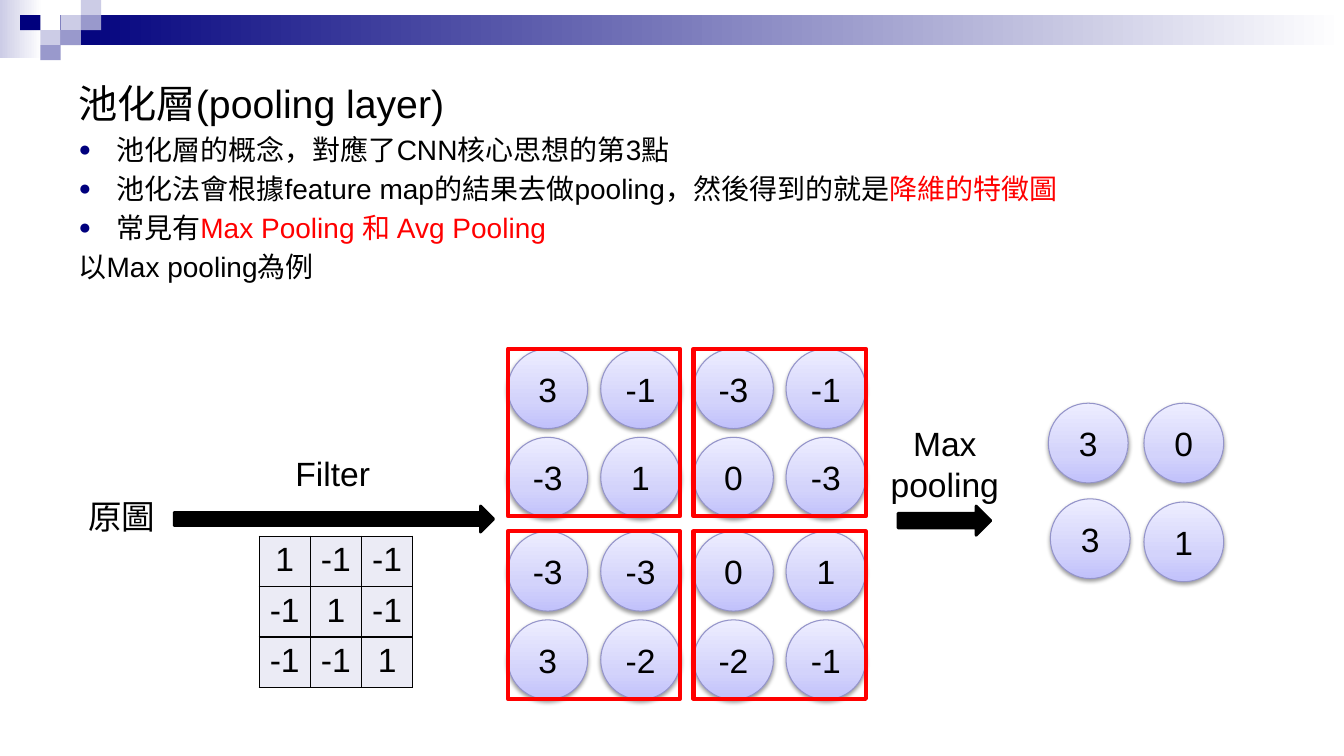
import copy

import pptx
import pptx.dml.color
import pptx.enum.shapes
import pptx.enum.text
import pptx.oxml
import pptx.oxml.ns
import pptx.util

Cm = pptx.util.Cm
Pt = pptx.util.Pt
Preset = pptx.enum.shapes.MSO_SHAPE
Align = pptx.enum.text.PP_ALIGN
Anchor = pptx.enum.text.MSO_ANCHOR
qn = pptx.oxml.ns.qn

NAVY, LILAC, MIST = "00007D", "9999CC", "CCCCE6"
BLACK, RED, WHITE = "000000", "FF0000", "FFFFFF"
NEURON = [(0, "C1C1FB"), (0.35, "D3D3FB"), (1, "EDEDFF")]


def color(value):
    return pptx.dml.color.RGBColor.from_string(value)


def xml(text):
    return pptx.oxml.parse_xml(text.replace(" ", f' {pptx.oxml.ns.nsdecls("a")} ', 1))


def apply(target, values):
    for name, value in values.items():
        setattr(target, name, value)


class SlideBuilder:
    font = {"name": "Arial", "size": Pt(24)}
    centred = {"alignment": Align.CENTER}
    tight = {"margin_left": 0, "margin_right": 0, "margin_top": 0,
             "margin_bottom": 0, "vertical_anchor": Anchor.MIDDLE}
    plain_table = {"first_row": False, "horz_banding": False}

    def __init__(self, slide):
        self.slide = slide
        self.shapes = slide.shapes

    def start_group(self):
        self.shapes = self.slide.shapes.add_group_shape().shapes

    def end_group(self):
        self.shapes = self.slide.shapes

    def add_text(self, paragraph, text, ink=BLACK, **changes):
        run = paragraph.add_run()
        run.text = text
        apply(run.font, {**self.font, **changes})
        run.font.color.rgb = color(ink)

    def shape(self, preset, box, fill=None, line=None, width=1):
        shape = self.shapes.add_shape(preset, *map(Cm, box))
        shape.shadow.inherit = False
        if fill is None:
            shape.fill.background()
        else:
            shape.fill.solid()
            shape.fill.fore_color.rgb = color(fill)
        if line is None:
            shape.line.fill.background()
        else:
            shape.line.color.rgb = color(line)
            shape.line.width = Pt(width)
        return shape

    def gradient(self, shape, stops, angle=0):
        shape.fill.gradient()
        shape.fill.gradient_angle = angle
        stop_list = next(shape._element.spPr.iter(qn("a:gsLst")))
        for _ in stops[2:]:
            stop_list.append(copy.deepcopy(stop_list[-1]))
        for stop, (position, value) in zip(shape.fill.gradient_stops, stops):
            stop.position = position
            stop.color.rgb = color(value)

    def neuron(self, left, top, value):
        circle = self.shape(Preset.OVAL, (left, top, 2.01, 2.01), WHITE, "9494C9", 0.75)
        self.gradient(circle, NEURON, 90)
        circle._element.spPr.find(qn("a:effectLst")).append(xml(
            '<a:outerShdw blurRad="40000" dist="20000" dir="5400000" rotWithShape="0">'
            '<a:srgbClr val="000000"><a:alpha val="38000"/></a:srgbClr></a:outerShdw>'))
        apply(circle.text_frame, self.tight)
        paragraph = circle.text_frame.paragraphs[0]
        apply(paragraph, self.centred)
        self.add_text(paragraph, str(value))

    def label(self, box, text):
        frame = self.shapes.add_textbox(*map(Cm, box)).text_frame
        frame.word_wrap = True
        apply(frame.paragraphs[0], self.centred)
        self.add_text(frame.paragraphs[0], text)

    def bullet(self, paragraph):
        properties = paragraph._p.get_or_add_pPr()
        properties.set("marL", str(Cm(0.95)))
        properties.set("indent", str(-Cm(0.95)))
        for element in (f'<a:buClr ><a:srgbClr val="{NAVY}"/></a:buClr>',
                        '<a:buSzPct val="75000"/>',
                        '<a:buFont typeface="Arial"/>',
                        '<a:buChar char="●"/>'):
            properties.append(xml(element))

    def body(self, box, heading, points):
        frame = self.shapes.add_textbox(*map(Cm, box)).text_frame
        frame.word_wrap = True
        self.add_text(frame.paragraphs[0], heading, size=Pt(28))
        for bulleted, pieces in points:
            paragraph = frame.add_paragraph()
            if bulleted:
                self.bullet(paragraph)
            paragraph.space_before = Pt(4)
            for text, ink in pieces:
                self.add_text(paragraph, text, ink, size=Pt(20))

    def table(self, box, rows):
        table = self.shapes.add_table(len(rows), len(rows[0]), *map(Cm, box)).table
        apply(table, self.plain_table)
        for cell, value in zip(table.iter_cells(), sum(rows, [])):
            paragraph = cell.text_frame.paragraphs[0]
            apply(paragraph, self.centred)
            self.add_text(paragraph, str(value))
            properties = cell._tc.get_or_add_tcPr()
            for side in ("lnL", "lnR", "lnT", "lnB"):
                properties.append(xml(
                    f'<a:{side} w="12700"><a:solidFill><a:srgbClr val="{BLACK}"/>'
                    f'</a:solidFill></a:{side}>'))
            cell.fill.solid()
            cell.fill.fore_color.rgb = color("EBEBF5")


def main():
    deck = pptx.Presentation()
    apply(deck, {"slide_width": Cm(33.87), "slide_height": Cm(19.05)})
    page = SlideBuilder(deck.slides.add_slide(deck.slide_layouts[6]))

    for band, start in (((0, 0, 1.07, 1.47), MIST), ((1.52, 0.38, 32.35, 0.76), NAVY)):
        page.gradient(page.shape(Preset.RECTANGLE, band, WHITE), [(0, start), (1, WHITE)])
    for column, row, tint in ((3, 1, MIST), (4, 0, MIST), (4, 1, LILAC), (2, 2, MIST),
                              (1, 1, NAVY), (3, 2, LILAC), (2, 3, LILAC)):
        page.shape(Preset.RECTANGLE, (column * 0.51, row * 0.38, 0.51, 0.38), tint)

    page.body((1.73, 1.88, 30.48, 14.66), "池化層(pooling layer)", [
        (True, [("池化層的概念，對應了CNN核心思想的第3點", BLACK)]),
        (True, [("池化法會根據feature map的結果去做pooling，然後得到的就是", BLACK),
                ("降維的特徵圖", RED)]),
        (True, [("常見有", BLACK), ("Max Pooling 和 Avg Pooling", RED)]),
        (False, [("以Max pooling為例", BLACK)]),
    ])

    page.table((6.53, 13.51, 3.87, 3.66), [[1, -1, -1], [-1, 1, -1], [-1, -1, 1]])
    page.label((6.5, 11.28, 4.01, 1.27), "Filter ")

    feature_map = [[3, -1, -3, -1], [-3, 1, 0, -3], [-3, -3, 0, 1], [3, -2, -2, -1]]
    column_lefts = [12.8, 15.14, 17.48, 19.81]
    row_tops = [8.79, 11.02, 13.39, 15.62]
    page.start_group()
    for top, values in zip(row_tops, feature_map):
        for left, value in zip(column_lefts, values):
            page.neuron(left, top, value)
    for top in row_tops[::2]:
        for left in column_lefts[::2]:
            page.shape(Preset.RECTANGLE, (left, top, 4.34, 4.22), line=RED, width=3)
    page.end_group()

    page.label((1.37, 12.37, 3.58, 1.27), "原圖 ")
    for arrow in ((4.39, 12.75, 8.05, 0.66), (22.63, 12.75, 2.34, 0.74)):
        page.shape(Preset.RIGHT_ARROW, arrow, BLACK, BLACK, 2)
    page.label((21.56, 10.54, 4.5, 2.31), "Max pooling")

    page.start_group()
    for left, top, value in ((28.83, 10.16, 0), (26.47, 12.57, 3),
                             (28.83, 12.65, 1), (26.42, 10.16, 3)):
        page.neuron(left, top, value)
    page.end_group()

    deck.save("out.pptx")


if __name__ == "__main__":
    main()
